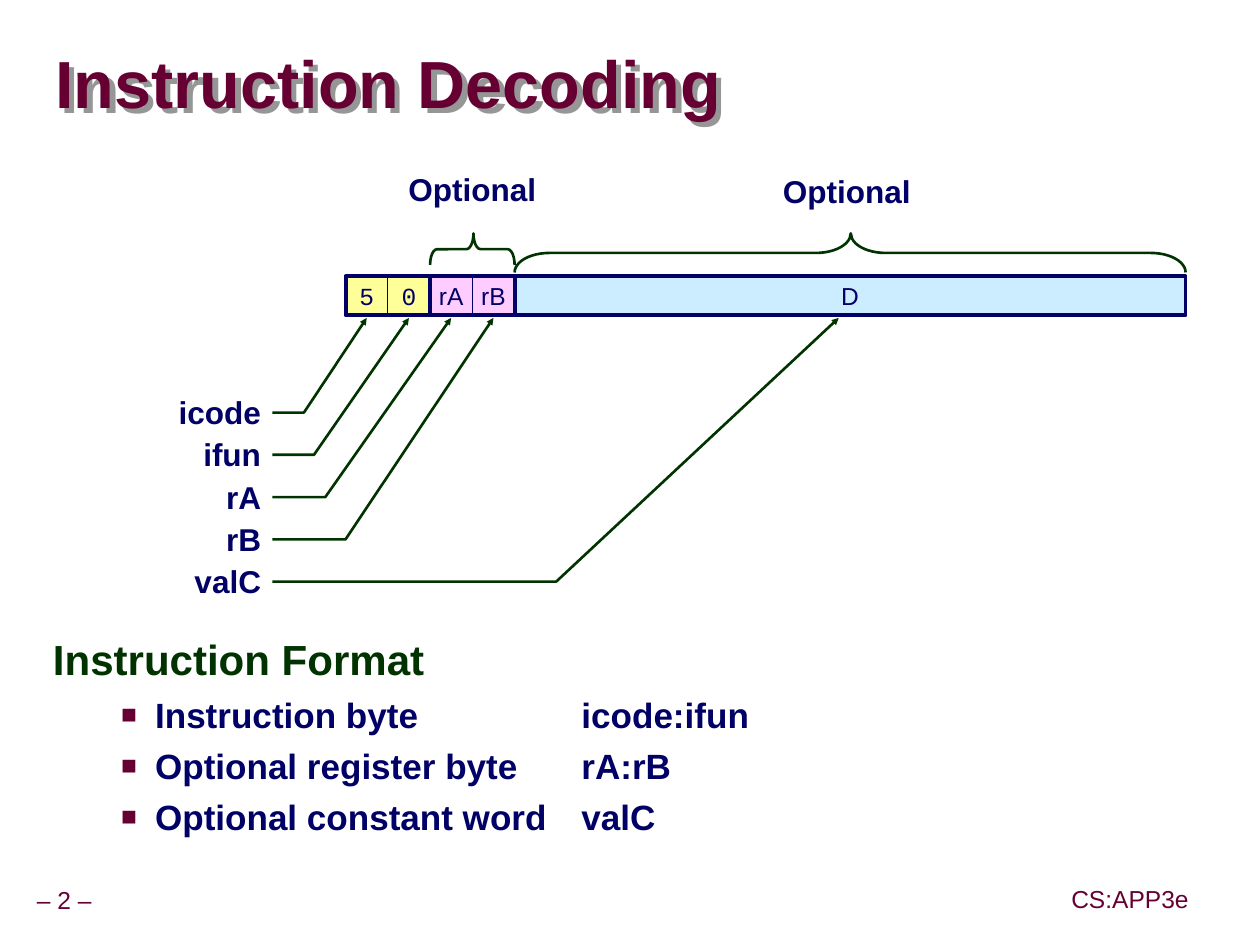
from dataclasses import dataclass

from lxml.etree import SubElement
from pptx import Presentation
from pptx.dml.color import RGBColor
from pptx.enum.shapes import MSO_SHAPE
from pptx.enum.text import MSO_ANCHOR, MSO_AUTO_SIZE, PP_ALIGN
from pptx.oxml import parse_xml
from pptx.oxml.ns import nsdecls, qn
from pptx.util import Pt

# Content; lengths are px, 100 to the inch
TITLE = "Instruction Decoding"
HEADING = "Instruction Format"
FORMAT_PARTS = [
    ("Instruction byte", "icode:ifun"),
    ("Optional register byte", "rA:rB"),
    ("Optional constant word", "valC"),
]
BYTES = [("yellow", "mono", ["5", "0"]), ("pink", "sans", ["rA", "rB"])]
CONSTANT = "D"
FIELDS = [("icode", 241), ("ifun", 249), ("rA", 258), ("rB", 274), ("valC", 441)]
BRACE_LABEL = "Optional"
FOOTERS = [("– 2 –", (18, 699, 66, 31)), ("CS:APP3e", (839, 698, 114, 32))]

SLIDE_SIZE = (999, 749)
BAR_LEFT, BAR_TOP, BAR_HEIGHT, BAR_RIGHT = 274, 219, 31, 940
BYTE_WIDTH = 67
NIBBLE_WIDTH = BYTE_WIDTH / 2
CONSTANT_LEFT = BAR_LEFT + len(BYTES) * BYTE_WIDTH
FIELD_TOP, FIELD_PITCH = 310, NIBBLE_WIDTH
ARROW_LEFT, ARROW_TIP, CONSTANT_TARGET = 216, 252, 665
TAB_STOP = 419


@dataclass(frozen=True)
class Theme:
    maroon: str = "660033"
    green: str = "003300"
    navy: str = "000066"
    yellow: str = "FFFF99"
    pink: str = "FFCCFF"
    blue: str = "CCECFF"
    shadow: str = "969696"
    sans: str = "Arial"
    mono: str = "Courier New"
    title: int = 38
    heading: int = 24
    item: int = 20
    label: int = 18
    small: int = 14


THEME = Theme()


def px(length):
    return round(length * 9144)


def set_attributes(target, values):
    for name, value in values.items():
        setattr(target, name, value)


def place(shape, box):
    set_attributes(shape, dict(zip(("left", "top", "width", "height"), map(px, box))))


def write(paragraph, text, size, color, bold=False, font=THEME.sans, **layout):
    """Add one formatted run; layout holds paragraph attributes."""
    set_attributes(paragraph, layout)
    run = paragraph.add_run()
    run.text = text
    run.font.color.rgb = RGBColor.from_string(color)
    set_attributes(run.font, {"size": Pt(size), "bold": bold, "name": font})


def set_frame(frame, margins, **values):
    sides = ("margin_left", "margin_top", "margin_right", "margin_bottom")
    set_attributes(frame, dict(zip(sides, map(px, margins))) | values)


def add_text(slide, text, box, size, color, align=PP_ALIGN.CENTER, wrap=False,
             bold=True, anchor=MSO_ANCHOR.TOP):
    frame = slide.shapes.add_textbox(*map(px, box)).text_frame
    set_frame(frame, (5, 5, 5, 5), word_wrap=wrap, vertical_anchor=anchor)
    write(frame.paragraphs[0], text, size, color, bold, alignment=align, line_spacing=0.9)


def style_shape(shape, line, width, fill=None):
    shape.shadow.inherit = False
    shape.line.color.rgb = RGBColor.from_string(line)
    shape.line.width = Pt(width)
    if fill:
        shape.fill.solid()
        shape.fill.fore_color.rgb = RGBColor.from_string(fill)
    else:
        shape.fill.background()


def add_cell(shapes, left, width, line_width, fill=None, text=None, font=THEME.sans):
    box = (left, BAR_TOP, width, BAR_HEIGHT)
    cell = shapes.add_shape(MSO_SHAPE.RECTANGLE, *map(px, box))
    style_shape(cell, THEME.navy, line_width, fill)
    if text:
        set_attributes(cell.text_frame, {"word_wrap": False,
                                         "vertical_anchor": MSO_ANCHOR.MIDDLE})
        write(cell.text_frame.paragraphs[0], text, THEME.small, THEME.navy,
              font=font, alignment=PP_ALIGN.CENTER)


def add_top_brace(slide, left, right, top, depth, adjustments):
    """Turn a left brace by 90 degrees so that it spans left to right."""
    span = right - left
    box = ((left + right - depth) / 2, top + (depth - span) / 2, depth, span)
    brace = slide.shapes.add_shape(MSO_SHAPE.LEFT_BRACE, *map(px, box))
    brace.rotation = 90
    for index, value in enumerate(adjustments):
        brace.adjustments[index] = value
    style_shape(brace, THEME.green, 1.5)


def add_bent_arrow(slide, points):
    start, *rest = [tuple(map(px, point)) for point in points]
    builder = slide.shapes.build_freeform(*start)
    builder.add_line_segments(rest, close=False)
    arrow = builder.convert_to_shape()
    style_shape(arrow, THEME.green, 1.5)
    SubElement(arrow.line._get_or_add_ln(), qn("a:tailEnd"),
               type="triangle", w="sm", len="sm")


def set_list_format(paragraph, margin, indent, bullet=None):
    properties = paragraph._p.get_or_add_pPr()
    properties.set("marL", str(px(margin)))
    properties.set("indent", str(px(indent)))
    if bullet:
        color = SubElement(properties, qn("a:buClr"))
        SubElement(color, qn("a:srgbClr"), val=THEME.maroon)
        SubElement(properties, qn("a:buSzPct"), val="75000")
        SubElement(properties, qn("a:buFont"), typeface=THEME.sans)
        SubElement(properties, qn("a:buChar"), char=bullet)
    else:
        SubElement(properties, qn("a:buNone"))
    tabs = SubElement(properties, qn("a:tabLst"))
    SubElement(tabs, qn("a:tab"), pos=str(px(TAB_STOP)), algn="l")


def fill_title(title):
    """Write the title; the shadow of an unfilled shape falls from its text."""
    place(title, (44, 27, 952, 85))
    set_frame(title.text_frame, (0, 0, 0, 0), vertical_anchor=MSO_ANCHOR.MIDDLE,
              auto_size=MSO_AUTO_SIZE.NONE)
    write(title.text_frame.paragraphs[0], TITLE, THEME.title, THEME.maroon, True,
          alignment=PP_ALIGN.LEFT, line_spacing=0.87)
    title.fill.background()
    title._element.spPr.append(parse_xml(
        f'<a:effectLst {nsdecls("a")}><a:outerShdw dist="53882" dir="2700000">'
        f'<a:srgbClr val="{THEME.shadow}"/></a:outerShdw></a:effectLst>'))


def fill_body(body):
    place(body, (32, 500, 907, 203))
    frame = body.text_frame
    set_frame(frame, (10, 5, 10, 5), auto_size=MSO_AUTO_SIZE.NONE)
    heading = frame.paragraphs[0]
    set_list_format(heading, 42, -42)
    write(heading, HEADING, THEME.heading, THEME.green, True,
          line_spacing=0.95, space_before=Pt(0))
    for name, value in FORMAT_PARTS:
        item = frame.add_paragraph()
        item.level = 1
        set_list_format(item, 81, -27, "■")
        write(item, f"{name}\t{value}", THEME.item, THEME.navy, True, space_before=Pt(5))


def draw_instruction(slide):
    for index, (fill, font, nibbles) in enumerate(BYTES):
        left = BAR_LEFT + index * BYTE_WIDTH
        shapes = slide.shapes.add_group_shape().shapes
        for position, text in enumerate(nibbles):
            add_cell(shapes, left + position * NIBBLE_WIDTH, NIBBLE_WIDTH, 0.5,
                     getattr(THEME, fill), text, getattr(THEME, font))
        add_cell(shapes, left, BYTE_WIDTH, 2.25)
    add_cell(slide.shapes, CONSTANT_LEFT, BAR_RIGHT - CONSTANT_LEFT, 2.25,
             THEME.blue, CONSTANT)
    add_top_brace(slide, CONSTANT_LEFT - BYTE_WIDTH, CONSTANT_LEFT, 185, 25, (0.222, 0.487))
    add_top_brace(slide, CONSTANT_LEFT, BAR_RIGHT, 185, 31, (0.889, 0.499))
    for left, top in [(314, 133), (611, 135)]:
        add_text(slide, BRACE_LABEL, (left, top, 121, 37), THEME.label, THEME.navy)


def draw_fields(slide):
    for index, (name, bend) in enumerate(FIELDS):
        top = FIELD_TOP + index * FIELD_PITCH
        add_text(slide, name, (108, top, 104, 37), THEME.label, THEME.navy,
                 PP_ALIGN.RIGHT, wrap=True)
        target = BAR_LEFT + (index + 0.5) * NIBBLE_WIDTH
        if index == len(FIELDS) - 1:
            target = CONSTANT_TARGET
        line = top + 17
        add_bent_arrow(slide, [(ARROW_LEFT, line), (bend, line), (target, ARROW_TIP)])


def main():
    presentation = Presentation()
    presentation.slide_width, presentation.slide_height = map(px, SLIDE_SIZE)
    slide = presentation.slides.add_slide(presentation.slide_layouts[1])
    fill_title(slide.shapes.title)
    fill_body(slide.placeholders[1])
    draw_instruction(slide)
    draw_fields(slide)
    for text, box in FOOTERS:
        add_text(slide, text, box, THEME.small, THEME.maroon, bold=False,
                 anchor=MSO_ANCHOR.MIDDLE)
    presentation.save("out.pptx")


if __name__ == "__main__":
    main()
